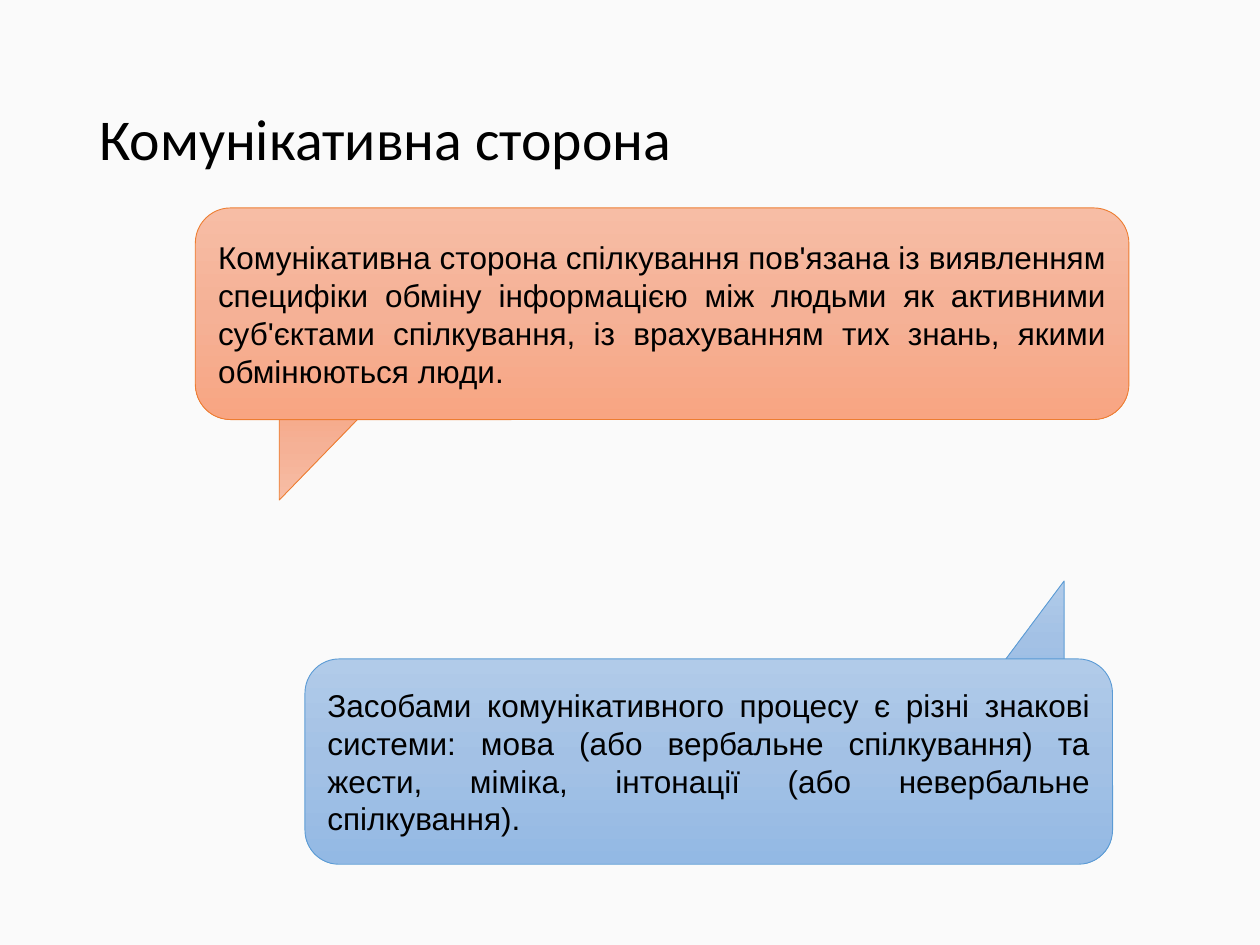
from copy import deepcopy
from pptx import Presentation, util as u
from pptx.dml.color import RGBColor
from pptx.enum import shapes as sh, text as tx

WIDE, HIGH = u.Inches(10), u.Inches(7.5)
ORANGE = ("ED7D31", ("F7BDA5", "F5B196", "F8A582"))
BLUE = ("5B9BD5", ("B1CBE9", "A3C1E5", "93B9E4"))


def color(code):
    """Turn a hex string into a colour."""
    return RGBColor.from_string(code)


def area(x, y, w, h):
    """Turn percentages of the slide into a box."""
    return tuple(round(p * full / 100) for p, full in
                 ((x, WIDE), (y, HIGH), (w, WIDE), (h, HIGH)))


def inside(box, x, y, w, h):
    """Place a box by its shares of another box."""
    left, top, wide, high = box
    return (round(left + x * wide), round(top + y * high),
            round(w * wide), round(h * high))


def paint(shape, theme):
    """Give a shape its outline and downward gradient."""
    edge, tones = theme
    shape.shadow.inherit = False
    shape.line.color.rgb = color(edge)
    shape.line.width = u.Pt(0.5)
    fill = shape.fill
    fill.gradient()
    fill.gradient_angle = 270
    first = shape.element.xpath(".//a:gs")[0]
    first.addnext(deepcopy(first))
    for i, (stop, tone) in enumerate(zip(fill.gradient_stops, tones)):
        stop.position = i / 2
        stop.color.rgb = color(tone)


def write(shape, words, face, size):
    """Write one paragraph, centred vertically."""
    frame = shape.text_frame
    frame.word_wrap = True
    frame.vertical_anchor = tx.MSO_ANCHOR.MIDDLE
    para = frame.paragraphs[0]
    para.text = words
    para.font.name = face
    para.font.size = u.Pt(size)
    para.font.color.rgb = color("000000")
    return para


def title(slide, box, words):
    """Add the slide title."""
    para = write(slide.shapes.add_textbox(*box), words, "Calibri", 33)
    para.alignment = tx.PP_ALIGN.LEFT
    para.line_spacing = 0.9


def bubble(slide, box, tail, flip, theme, words):
    """Add a speech bubble with a triangular tail behind it."""
    group = slide.shapes.add_group_shape().shapes
    tip = group.add_shape(sh.MSO_SHAPE.RIGHT_TRIANGLE, *inside(box, *tail))
    tip.rotation = 180
    tip.element.spPr.xfrm.set(flip, "1")
    body = group.add_shape(sh.MSO_SHAPE.ROUNDED_RECTANGLE, *box)
    for part in (tip, body):
        paint(part, theme)
    write(body, words, "Arial", 18).alignment = tx.PP_ALIGN.JUSTIFY


def main():
    """Build and save the slide."""
    deck = Presentation()
    deck.slide_width, deck.slide_height = WIDE, HIGH
    slide = deck.slides.add_slide(deck.slide_layouts[6])
    back = slide.background.fill
    back.solid()
    back.fore_color.rgb = color("FAFAFA")
    title(slide, area(6.9, 5.3, 86.2, 19.3), "Комунікативна сторона")
    bubble(slide, area(15.5, 22, 74.1, 22.4), (0.09, 0.88, 0.11, 0.5),
           "flipH", ORANGE,
           "Комунікативна сторона спілкування пов'язана із виявленням "
           "специфіки обміну інформацією між людьми як активними суб'єктами "
           "спілкування, із врахуванням тих знань, якими обмінюються люди.")
    bubble(slide, area(24.2, 69.73, 64.1, 21.73), (0.83, -0.38, 0.11, 0.58),
           "flipV", BLUE,
           "Засобами комунікативного процесу є різні знакові системи: мова "
           "(або вербальне спілкування) та жести, міміка, інтонації "
           "(або невербальне спілкування).")
    deck.save("out.pptx")


if __name__ == "__main__":
    main()
